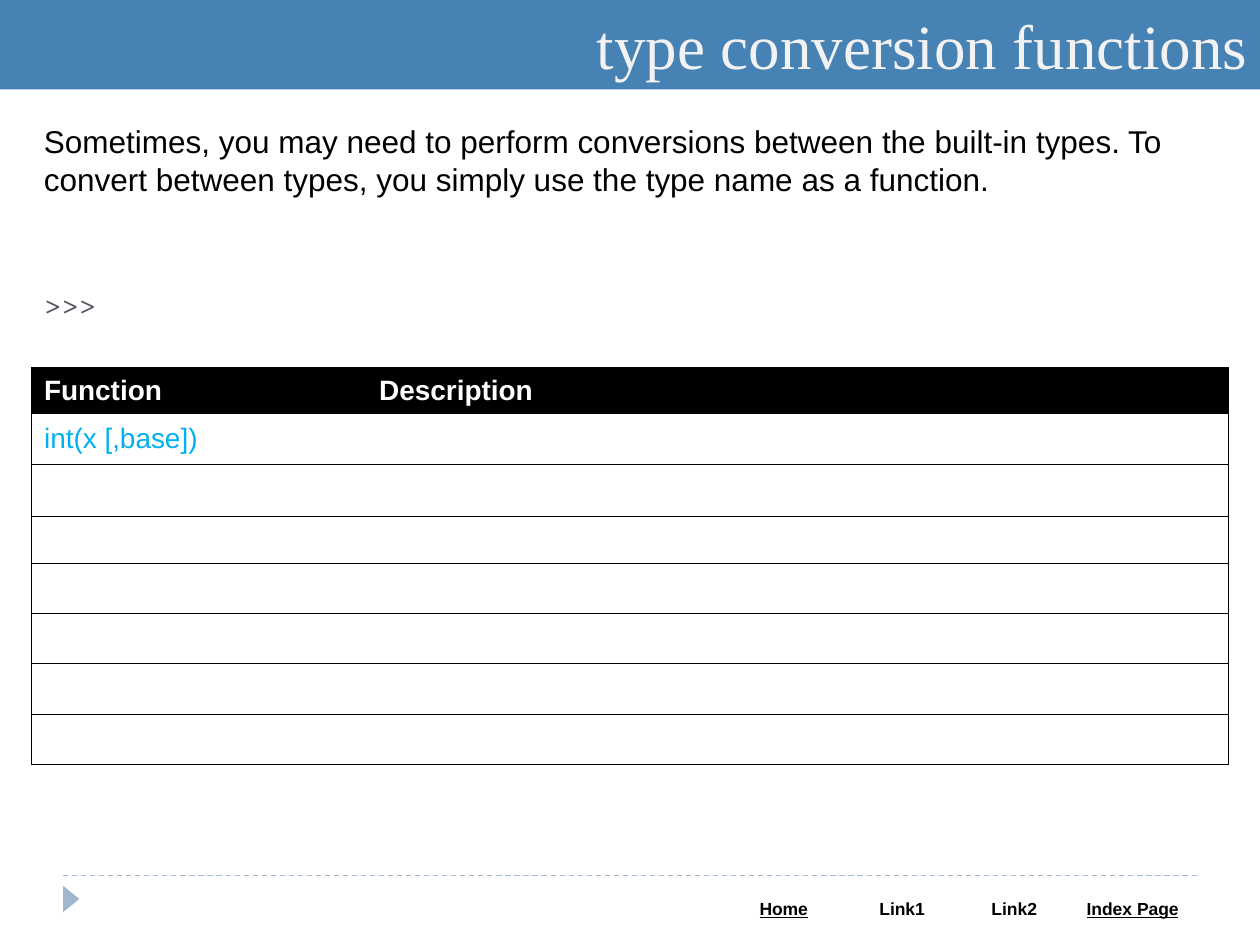
from lxml import etree
from pptx import Presentation
from pptx import util as u
from pptx.dml.color import RGBColor
from pptx.enum import dml, shapes, text
from pptx.oxml import ns

Inches = u.Inches


def paint(color_format, value):
    color_format.rgb = RGBColor.from_string(value)


def fill(target, value):
    target.fill.solid()
    paint(target.fill.fore_color, value)


def write(frame, words, size, color, font="Arial", bold=False, underline=False,
          align=text.PP_ALIGN.LEFT):
    frame.text = words
    frame.word_wrap = True
    paragraph = frame.paragraphs[0]
    paragraph.alignment = align
    for run in paragraph.runs:
        run.font.size = u.Pt(size)
        run.font.name = font
        run.font.bold = bold
        run.font.underline = underline
        paint(run.font.color, color)


def add_box(slide, box, kind, color):
    shape = slide.shapes.add_shape(kind, *map(Inches, box))
    shape.shadow.inherit = False
    fill(shape, color)
    shape.line.fill.background()
    return shape


def add_band(slide, box, color, words, size, ink, font, align):
    band = add_box(slide, box, shapes.MSO_SHAPE.RECTANGLE, color)
    band.text_frame.vertical_anchor = text.MSO_ANCHOR.MIDDLE
    write(band.text_frame, words, size, ink, font, align=align)


def add_intro(slide, box, words):
    intro = slide.shapes.add_textbox(*map(Inches, box))
    write(intro.text_frame, words, 18, "000000")


def set_borders(cell, sides, color, width):
    properties = cell._tc.get_or_add_tcPr()
    for index, side in enumerate("LRTB"):
        line = etree.Element(ns.qn("a:ln" + side), w=str(u.Pt(width)))
        if side in sides:
            solid = etree.SubElement(line, ns.qn("a:solidFill"))
            etree.SubElement(solid, ns.qn("a:srgbClr"), val=color)
        else:
            etree.SubElement(line, ns.qn("a:noFill"))
        properties.insert(index, line)


def add_grid(slide, box, widths, heights):
    grid = slide.shapes.add_table(len(heights), len(widths), *map(Inches, box)).table
    for column, width in zip(grid.columns, widths):
        column.width = Inches(width)
    for row, height in zip(grid.rows, heights):
        row.height = Inches(height)
    for cell in grid.iter_cells():
        cell.margin_top = cell.margin_bottom = Inches(0.02)
        cell.vertical_anchor = text.MSO_ANCHOR.MIDDLE
    return grid


def add_functions(slide, box):
    heights = [0.36, 0.41, 0.41, 0.37] + [0.4] * 4
    functions = add_grid(slide, box, [2.66, 6.84], heights)
    for row in range(len(heights)):
        for column, side in enumerate("LR"):
            cell = functions.cell(row, column)
            fill(cell, "FFFFFF" if row else "000000")
            set_borders(cell, side + "TB", "000000", 0.75)
    for column, heading in enumerate(["Function", "Description"]):
        write(functions.cell(0, column).text_frame, heading, 16, "FFFFFF", bold=True)
    write(functions.cell(1, 0).text_frame, "int(x [,base])", 16, "00B0F0")


def add_footer(slide, box):
    left, top, width, height = box
    rule = slide.shapes.add_connector(
        shapes.MSO_CONNECTOR.STRAIGHT,
        *map(Inches, (left, top, left + width, top)))
    paint(rule.line.color, "9FB8CD")
    rule.line.width = u.Pt(0.75)
    rule.line.dash_style = dml.MSO_LINE.DASH
    etree.SubElement(rule._element.spPr, ns.qn("a:effectLst"))

    marker = add_box(slide, (left - 0.04, top + 0.12, 0.21, 0.13),
                     shapes.MSO_SHAPE.ISOSCELES_TRIANGLE, "9FB8CD")
    marker.rotation = 90

    links = add_grid(slide, (left + width - 3.75, top + 0.13, 3.75, height - 0.13),
                     [0.94, 0.94, 0.84, 1.04], [height - 0.13])
    for cell, label in zip(links.iter_cells(), ["Home", "Link1", "Link2", "Index Page"]):
        fill(cell, "FFFFFF")
        set_borders(cell, "LRTB", "FFFFFF", 1)
        write(cell.text_frame, label, 10, "000000", bold=True,
              underline=label in ("Home", "Index Page"), align=text.PP_ALIGN.CENTER)


def main():
    deck = Presentation()
    deck.slide_width, deck.slide_height = Inches(10), Inches(7.5)
    slide = deck.slides.add_slide(deck.slide_layouts[6])
    add_footer(slide, (0.5, 6.95, 9, 0.4))
    add_band(slide, (0, 0, 10, 0.71), "4682B4", "type conversion functions",
             36, "F2F2F2", "Times New Roman", text.PP_ALIGN.RIGHT)
    add_functions(slide, (0.25, 2.92, 9.5, 3.17))
    add_intro(slide, (0.25, 0.92, 9.5, 0.71),
              "Sometimes, you may need to perform conversions between the built-in types. "
              "To convert between types, you simply use the type name as a function.")
    add_band(slide, (0.25, 2.21, 9.5, 0.4), "FFFFFF", ">>>",
             18, "5A5462", "Cambria", text.PP_ALIGN.LEFT)
    deck.save("out.pptx")


if __name__ == "__main__":
    main()
